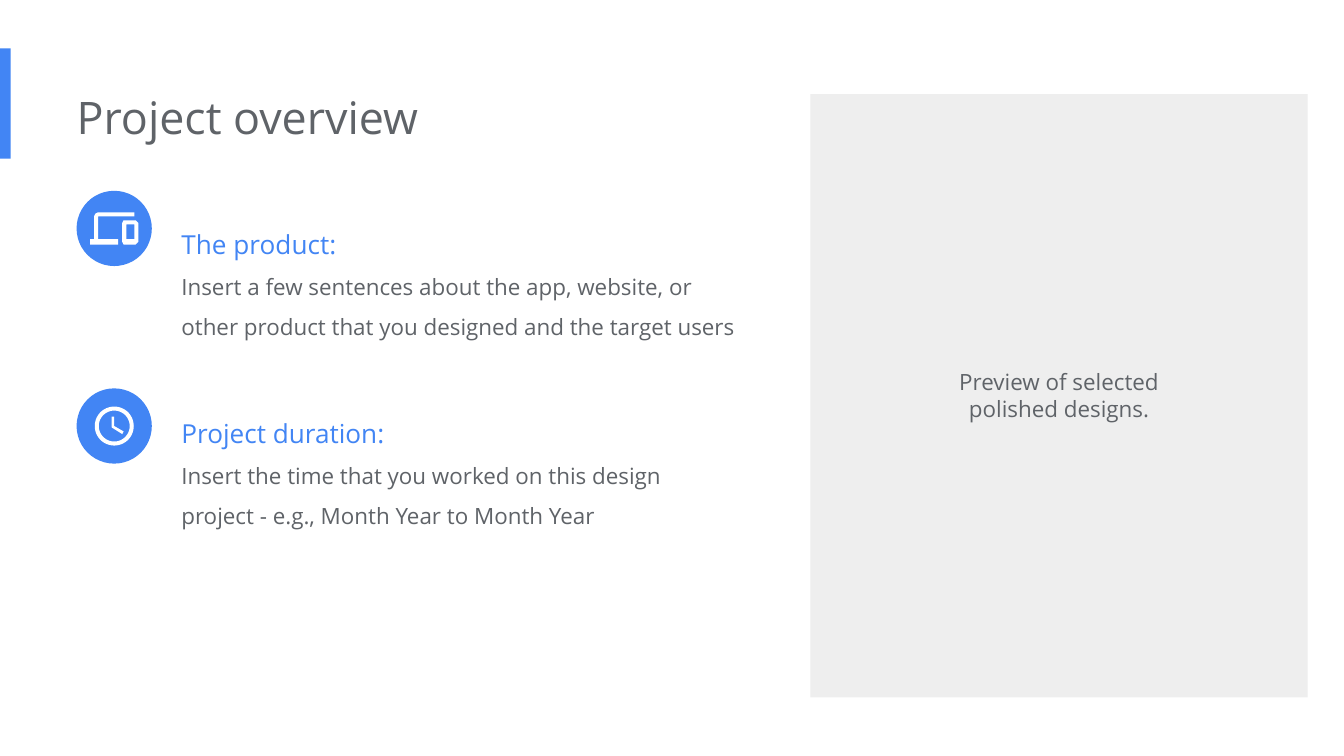
from math import cos, pi, sin

from pptx import Presentation
from pptx.dml.color import RGBColor
from pptx.enum.shapes import MSO_SHAPE as Shape
from pptx.enum.text import MSO_ANCHOR as Anchor, MSO_AUTO_SIZE as AutoSize, PP_ALIGN as Align
from pptx.util import Inches, Pt

BLUE = RGBColor(0x42, 0x85, 0xF4)
GRAY = RGBColor(0x5F, 0x63, 0x68)
LIGHT_GRAY = RGBColor(0xEE, 0xEE, 0xEE)
WHITE = RGBColor(0xFF, 0xFF, 0xFF)
FONT = "Open Sans"
LEFT = 0.57


def paint(shape, color):
    shape.shadow.inherit = False
    shape.fill.solid()
    shape.fill.fore_color.rgb = color
    shape.line.fill.background()


def write(shape, lines, align=Align.LEFT, spacing=1.0, left_inset=0):
    frame = shape.text_frame
    frame.word_wrap = True
    frame.auto_size = AutoSize.SHAPE_TO_FIT_TEXT
    frame.vertical_anchor = Anchor.TOP
    frame.margin_left = Inches(left_inset)
    frame.margin_top = frame.margin_right = frame.margin_bottom = Inches(0.1)
    for index, (text, size, color) in enumerate(lines):
        paragraph = frame.add_paragraph() if index else frame.paragraphs[0]
        paragraph.alignment = align
        paragraph.line_spacing = spacing
        run = paragraph.add_run()
        run.text = text
        run.font.name = FONT
        run.font.size = Pt(size)
        run.font.color.rgb = color


presentation = Presentation()
presentation.slide_width = Inches(10)
presentation.slide_height = Inches(10) * 9 // 16
slide = presentation.slides.add_slide(presentation.slide_layouts[5])
shapes = slide.shapes

title = shapes.title
title.left, title.top = Inches(LEFT), Inches(0.57)
title.width, title.height = Inches(6.73), Inches(0.61)
write(title, [("Project overview", 24, GRAY)])

for kind, left, top, width, height, color in [
    (Shape.RECTANGLE, 0, 0.36, 0.08, 0.82, BLUE),
    (Shape.OVAL, LEFT, 1.42, 0.56, 0.56, BLUE),
    (Shape.OVAL, LEFT, 2.89, 0.56, 0.56, BLUE),
    (Shape.RECTANGLE, 6.03, 0.7, 3.7, 4.49, LIGHT_GRAY),
]:
    shape = shapes.add_shape(kind, Inches(left), Inches(top), Inches(width), Inches(height))
    paint(shape, color)

for top, width, heading, body in [
    (1.48, 4.3, "The product:",
     "Insert a few sentences about the app, website, or other product that you designed "
     "and the target users"),
    (2.89, 3.77, "Project duration:",
     "Insert the time that you worked on this design project - e.g., Month Year to Month Year"),
]:
    section = shapes.add_textbox(Inches(1.35), Inches(top), Inches(width), Inches(1.06))
    write(section, [(heading, 14, BLUE), (body, 12, GRAY)], spacing=1.5)

preview = shapes.add_textbox(Inches(6.89), Inches(2.64), Inches(1.98), Inches(0.61))
write(preview, [("Preview of selected polished designs.", 12, GRAY)], Align.CENTER, left_inset=0.1)

angles = [2 * pi * step / 60 for step in range(60)]
clock_rings = [
    [(0.85 + radius * cos(angle), 3.17 + radius * sin(angle)) for angle in angles]
    for radius in (0.145, 0.115)
]
clock_hands = [(0.83, 3.1), (0.83, 3.18), (0.91, 3.23), (0.92, 3.21), (0.85, 3.17), (0.85, 3.1)]
laptop = [
    (0.73, 1.61), (1, 1.61), (1, 1.58), (0.73, 1.58), (0.71, 1.59), (0.7, 1.61),
    (0.7, 1.78), (0.67, 1.78), (0.67, 1.82), (0.88, 1.82), (0.88, 1.78), (0.73, 1.78),
]
phone = [
    (1.01, 1.64), (0.92, 1.64), (0.91, 1.66), (0.91, 1.8),
    (0.92, 1.82), (1.01, 1.82), (1.03, 1.8), (1.03, 1.66),
]
phone_screen = [(1, 1.78), (0.94, 1.78), (0.94, 1.67), (1, 1.67)]

for outlines in [[*clock_rings, clock_hands], [laptop, phone, phone_screen]]:
    contours = [[(Inches(x), Inches(y)) for x, y in outline] for outline in outlines]
    builder = shapes.build_freeform(*contours[0][0])
    for index, contour in enumerate(contours):
        if index:
            builder.move_to(*contour[0])
        builder.add_line_segments(contour[1:], close=True)
    paint(builder.convert_to_shape(), WHITE)

presentation.save("out.pptx")
